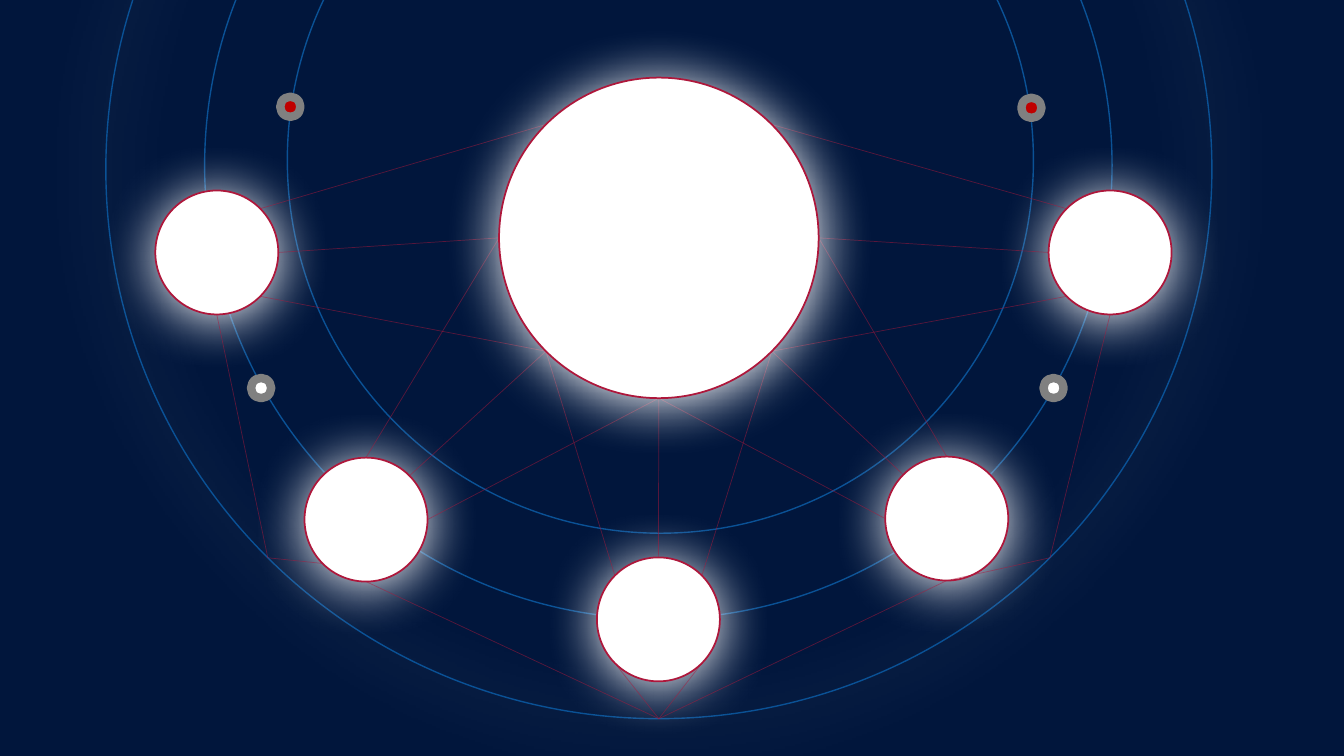
"""Draw a hub with five planets on orbit rings, joined by thin links."""
from math import cos, radians, sin

from lxml import etree
from pptx import Presentation
from pptx.dml.color import RGBColor
from pptx.enum.shapes import MSO_CONNECTOR, MSO_SHAPE
from pptx.oxml.ns import qn
from pptx.util import Inches, Pt

OVAL = MSO_SHAPE.OVAL
LINE = MSO_CONNECTOR.STRAIGHT
HEX = {"navy": "01163C", "blue": "0A5195", "red": "AE173B",
       "white": "FFFFFF", "grey": "808080", "dot": "C00000"}
ANGLE = {"E": 0, "SE": 45, "S": 90, "SW": 135, "W": 180,
         "NW": 225, "N": 270, "NE": 315}


class Sky:
    """Hold the style and the current slide."""

    def __init__(self, deck):
        self.slide = deck.slides.add_slide(deck.slide_layouts[6])
        self.paint(self.slide.background.fill, "navy")

    def paint(self, fill, name):
        fill.solid()
        fill.fore_color.rgb = RGBColor.from_string(HEX[name])

    def oval(self, box, line, width, fill=None, blur=0):
        shape = self.slide.shapes.add_shape(OVAL, *map(Inches, box))
        shape.shadow.inherit = False
        if fill:
            self.paint(shape.fill, fill)
        else:
            shape.fill.background()
        self.paint(shape.line.fill, line)
        shape.line.width = Pt(width)
        if blur:
            self.glow(shape, blur)

    def glow(self, shape, blur):
        effect = shape._element.spPr.find(qn("a:effectLst"))
        shadow = etree.SubElement(effect, qn("a:outerShdw"))
        form = {"blurRad": Pt(blur), "dist": Pt(3), "dir": 90 * 60000,
                "algn": "t", "rotWithShape": 0}
        for key, value in form.items():
            shadow.set(key, str(value))
        etree.SubElement(shadow, qn("a:srgbClr"), val=HEX["white"])

    def link(self, start, end):
        ends = map(Inches, start + end)
        line = self.slide.shapes.add_connector(LINE, *ends)
        self.paint(line.line.fill, "red")
        line.line.width = Pt(0.5)
        props = line._element.spPr
        color = next(props.iter(qn("a:srgbClr")))
        etree.SubElement(color, qn("a:alpha"), val="50000")
        etree.SubElement(props, qn("a:effectLst"))


def site(body, side):
    left, top, width, height = BODIES[body]
    turn = radians(ANGLE[side])
    return (left + width / 2 * (1 + cos(turn)),
            top + height / 2 * (1 + sin(turn)))


SIZE = (1.22, 1.23)
PLANETS = {"west": (1.54, 1.89), "east": (10.4, 1.89), "south": (5.92, 5.53),
           "left": (3.02, 4.54), "right": (8.78, 4.53)}
BODIES = {name: spot + SIZE for name, spot in PLANETS.items()}
BODIES["hub"] = (4.95, 0.77, 3.17, 3.18)
BODIES["outer"] = (1.05, -3.77, 10.97, 10.9)
RINGS = [((2.85, -2.11, 7.4, 7.4), 0), (BODIES["outer"], 45),
         ((2.03, -2.86, 9, 9), 0)]
MOONS = [(2.78, 0.96, "dot"), (10.13, 0.97, "dot"),
         (2.49, 3.75, "white"), (10.35, 3.75, "white")]
HALF = [("hub", "NW", "west", "NE"), ("hub", "W", "west", "E"),
        ("hub", "SW", "west", "SE"), ("hub", "SW", "south", "NW"),
        ("hub", "S", "left", "E"), ("hub", "SW", "left", "NE"),
        ("hub", "W", "left", "N"), ("west", "S", "outer", "SW"),
        ("south", "SW", "outer", "S"), ("left", "S", "outer", "S")]
SINGLE = [("hub", "S", "south", "N"), ("left", "SW", "outer", "SW"),
          ("right", "S", "outer", "SE")]
SWAP = {"west": "east", "left": "right"}
FLIP = str.maketrans("EW", "WE")
MIRROR = [(SWAP.get(a, a), p.translate(FLIP), SWAP.get(b, b), q.translate(FLIP))
          for a, p, b, q in HALF]

deck = Presentation()
deck.slide_width, deck.slide_height = Inches(13.33), Inches(7.5)
sky = Sky(deck)
for box, blur in RINGS:
    sky.oval(box, "blue", 1, blur=blur)
for name in PLANETS:
    sky.oval(BODIES[name], "red", 1.25, "white", 40)
for left, top, fill in MOONS:
    sky.oval((left, top, 0.2, 0.2), "grey", 6, fill)
for a, p, b, q in HALF + MIRROR + SINGLE:
    sky.link(site(a, p), site(b, q))
sky.oval(BODIES["hub"], "red", 1.25, "white", 40)
deck.save("out.pptx")
